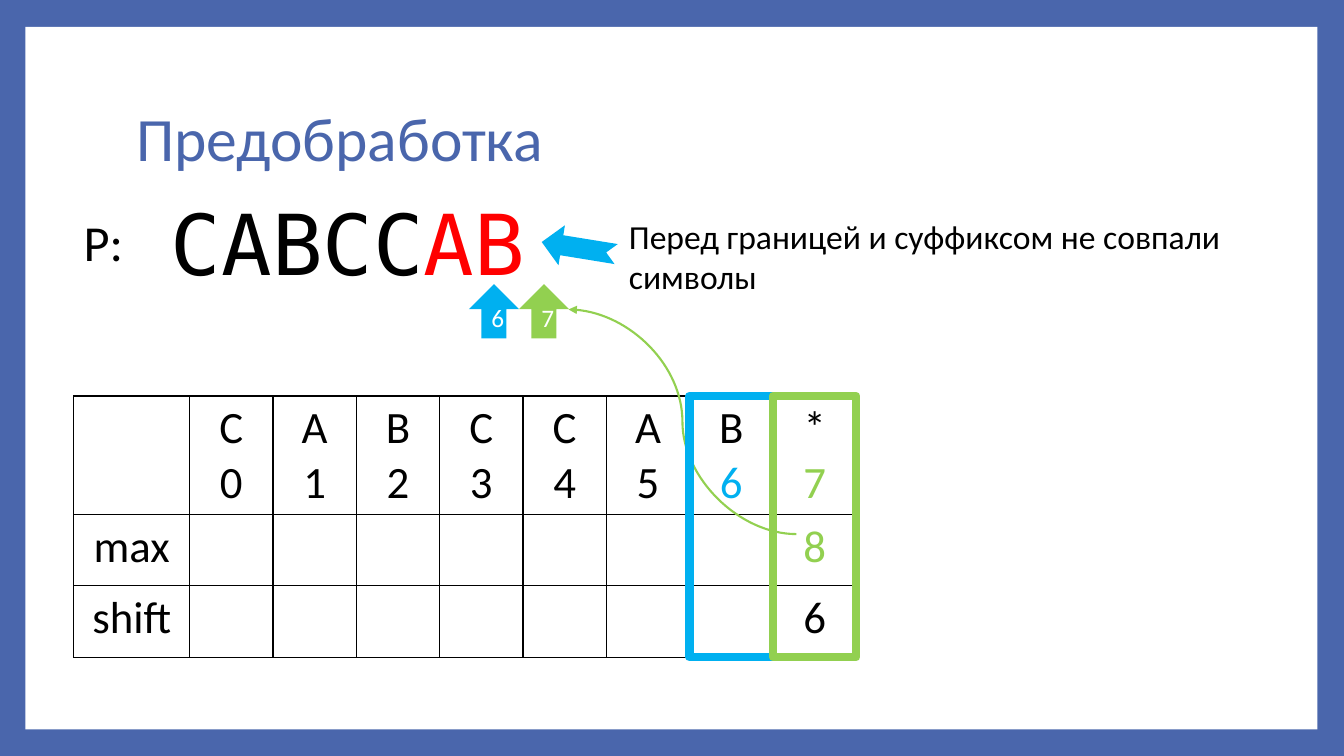
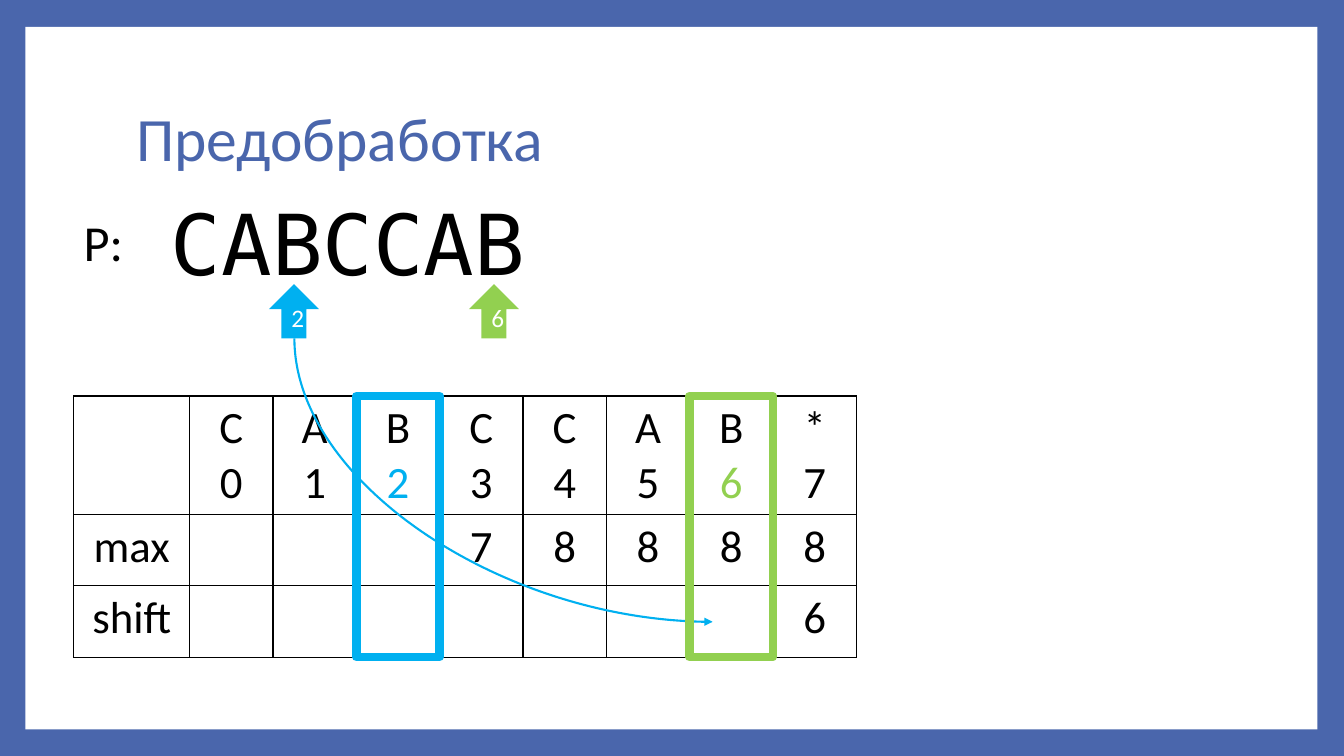
from dataclasses import dataclass

import pptx
import pptx.dml.color
import pptx.enum.shapes
import pptx.enum.text
import pptx.oxml
import pptx.oxml.ns
import pptx.util
from pptx.util import Cm

COLOURS = {
    "frame": "4A66AC",
    "paper": "FFFFFF",
    "ink": "000000",
    "mismatch": "FF0000",
    "blue": "00B0F0",
    "green": "92D050",
}
BODY_FONT = "Calibri"
CODE_FONT = "DejaVu Sans Mono"
SHAPES = pptx.enum.shapes.MSO_SHAPE
CENTER = pptx.enum.text.PP_ALIGN.CENTER
MIDDLE = pptx.enum.text.MSO_ANCHOR.MIDDLE

PATTERN = "CABCCAB"
TABLE_LEFT, TABLE_TOP = 1.86, 9.98
LABEL_WIDTH, COLUMN_WIDTH = 2.92, 2.1
ROW_HEIGHTS = (2.98, 1.8, 1.8)
POINTER_LEFT, POINTER_TOP, LETTER_PITCH = 4.26, 7.16, 1.26
POINTER_WIDTH, POINTER_HEIGHT = 1.26, 1.37


@dataclass(frozen=True)
class Box:
    left: float
    top: float
    width: float
    height: float

    def lengths(self) -> tuple:
        return Cm(self.left), Cm(self.top), Cm(self.width), Cm(self.height)


@dataclass(frozen=True)
class Run:
    text: str
    colour: str = "ink"


@dataclass(frozen=True)
class Marker:
    index: int
    colour: str


@dataclass(frozen=True)
class Curve:
    start: tuple[float, float]
    end: tuple[float, float]
    colour: str
    single_bend: bool = False


@dataclass(frozen=True)
class Step:
    pattern: tuple[Run, ...]
    markers: tuple[Marker, ...]
    maxima: dict[int, Run]
    shifts: dict[int, Run]
    curve: Curve
    note: str = ""


STEPS = (
    Step(
        pattern=(Run(PATTERN[:5]), Run(PATTERN[5:], "mismatch")),
        markers=(Marker(6, "blue"), Marker(7, "green")),
        maxima={7: Run("8", "green")},
        shifts={7: Run("6")},
        curve=Curve((20.07, 13.46), (14.33, 7.8), "green"),
        note="Перед границей и суффиксом не совпали символы",
    ),
    Step(
        pattern=(Run(PATTERN),),
        markers=(Marker(2, "blue"), Marker(6, "green")),
        maxima={3: Run("7"), **{index: Run("8") for index in range(4, 8)}},
        shifts={7: Run("6")},
        curve=Curve((7.42, 8.53), (17.96, 15.67), "blue", True),
    ),
)


def rgb(colour: str) -> pptx.dml.color.RGBColor:
    return pptx.dml.color.RGBColor.from_string(COLOURS[colour])


def write(paragraph, runs: tuple[Run, ...], size: int, font: str = BODY_FONT, **layout) -> None:
    for name, value in layout.items():
        setattr(paragraph, name, value)
    for content in runs:
        run = paragraph.add_run()
        run.text = content.text
        for name, value in {"name": font, "size": pptx.util.Pt(size), "bold": False}.items():
            setattr(run.font, name, value)
        run.font.color.rgb = rgb(content.colour)


def add_text(slide, box: Box, runs: tuple[Run, ...], size: int, font: str = BODY_FONT,
             anchor=pptx.enum.text.MSO_ANCHOR.TOP, **layout) -> None:
    frame = slide.shapes.add_textbox(*box.lengths()).text_frame
    for name, value in {"word_wrap": True, "vertical_anchor": anchor}.items():
        setattr(frame, name, value)
    write(frame.paragraphs[0], runs, size, font, **layout)


def add_solid(slide, preset, box: Box, colour: str):
    solid = slide.shapes.add_shape(preset, *box.lengths())
    solid.shadow.inherit = False
    solid.fill.solid()
    solid.fill.fore_color.rgb = rgb(colour)
    solid.line.fill.background()
    return solid


def add_pointer(slide, marker: Marker) -> None:
    box = Box(POINTER_LEFT + LETTER_PITCH * marker.index, POINTER_TOP, POINTER_WIDTH, POINTER_HEIGHT)
    frame = add_solid(slide, SHAPES.UP_ARROW, box, marker.colour).text_frame
    frame.vertical_anchor = MIDDLE
    write(frame.paragraphs[0], (Run(str(marker.index), "paper"),), 18, alignment=CENTER)


def add_column_frame(slide, marker: Marker) -> None:
    left = TABLE_LEFT + LABEL_WIDTH + COLUMN_WIDTH * marker.index
    outline = slide.shapes.add_shape(
        SHAPES.RECTANGLE, *Box(left, TABLE_TOP, COLUMN_WIDTH, sum(ROW_HEIGHTS)).lengths())
    outline.shadow.inherit = False
    outline.fill.background()
    outline.line.color.rgb = rgb(marker.colour)
    outline.line.width = pptx.util.Pt(6)


def add_curve(slide, curve: Curve) -> None:
    (x1, y1), (x2, y2) = curve.start, curve.end
    if curve.single_bend:
        middle_x, middle_y = (x1 + x2) / 2, (y1 + y2) / 2
        half_x, half_y = (x2 - x1) / 2, (y2 - y1) / 2
        x1, y1 = middle_x + half_y, middle_y - half_x
        x2, y2 = middle_x - half_y, middle_y + half_x
    link = slide.shapes.add_connector(
        pptx.enum.shapes.MSO_CONNECTOR.CURVE, Cm(x1), Cm(y1), Cm(x2), Cm(y2))
    link.line.color.rgb = rgb(curve.colour)
    link.line.width = pptx.util.Pt(1.5)
    properties = link.element.spPr
    if curve.single_bend:
        properties.find(pptx.oxml.ns.qn("a:xfrm")).set("rot", str(270 * 60000))
        properties.find(pptx.oxml.ns.qn("a:prstGeom")).set("prst", "curvedConnector2")
    properties.find(pptx.oxml.ns.qn("a:ln")).append(
        pptx.oxml.parse_xml(f'<a:tailEnd {pptx.oxml.ns.nsdecls("a")} type="triangle"/>'))
    properties.append(pptx.oxml.parse_xml(f'<a:effectLst {pptx.oxml.ns.nsdecls("a")}/>'))


def set_borders(cell) -> None:
    properties = cell._tc.get_or_add_tcPr()
    for position, side in enumerate("LRTB"):
        properties.insert(position, pptx.oxml.parse_xml(
            f'<a:ln{side} {pptx.oxml.ns.nsdecls("a")} w="12700"><a:solidFill>'
            f'<a:srgbClr val="{COLOURS["ink"]}"/></a:solidFill></a:ln{side}>'))


def add_shift_table(slide, step: Step) -> None:
    letters = PATTERN + "*"
    marked = {marker.index: marker.colour for marker in step.markers}
    header = [()] + [(Run(letter), Run(str(index), marked.get(index, "ink")))
                     for index, letter in enumerate(letters)]
    rows = [header]
    for label, values in (("max", step.maxima), ("shift", step.shifts)):
        rows.append([(Run(label),)] + [(values[index],) if index in values else ()
                                       for index in range(len(letters))])
    widths = [LABEL_WIDTH] + [COLUMN_WIDTH] * len(letters)
    box = Box(TABLE_LEFT, TABLE_TOP, sum(widths), sum(ROW_HEIGHTS))
    grid = slide.shapes.add_table(len(rows), len(widths), *box.lengths()).table
    for name, value in {"first_row": False, "horz_banding": False}.items():
        setattr(grid, name, value)
    for column, width in zip(grid.columns, widths):
        column.width = Cm(width)
    for row, height, contents in zip(grid.rows, ROW_HEIGHTS, rows):
        row.height = Cm(height)
        for cell, lines in zip(row.cells, contents):
            cell.fill.background()
            set_borders(cell)
            for number, line in enumerate(lines):
                frame = cell.text_frame
                paragraph = frame.add_paragraph() if number else frame.paragraphs[0]
                write(paragraph, (line,), 32, alignment=CENTER)


def add_step(deck, step: Step) -> None:
    slide = deck.slides.add_slide(deck.slide_layouts[6])
    add_solid(slide, SHAPES.RECTANGLE, Box(0.64, 0.68, 32.56, 17.7), "paper")
    add_text(slide, Box(3.18, 1.7, 27.43, 3.76), (Run("Предобработка", "frame"),), 44,
             anchor=MIDDLE, line_spacing=0.9)
    add_text(slide, Box(4.06, 4.7, 14.25, 2.82), step.pattern, 60, CODE_FONT)
    add_text(slide, Box(1.86, 5.2, 1.7, 1.8), (Run("P:"),), 36)
    for marker in step.markers:
        add_pointer(slide, marker)
    add_shift_table(slide, step)
    if step.note:
        add_text(slide, Box(15.6, 5.31, 15.47, 2.31), (Run(step.note),), 24)
        hint = add_solid(slide, SHAPES.NOTCHED_RIGHT_ARROW, Box(13.64, 5.74, 1.9, 1.02), "blue")
        hint.rotation = 189.2
    add_curve(slide, step.curve)
    for marker in step.markers:
        add_column_frame(slide, marker)


def main() -> None:
    deck = pptx.Presentation()
    deck.slide_width, deck.slide_height = Cm(33.87), Cm(19.05)
    backdrop = deck.slide_master.background.fill
    backdrop.solid()
    backdrop.fore_color.rgb = rgb("frame")
    for step in STEPS:
        add_step(deck, step)
    deck.save("out.pptx")


if __name__ == "__main__":
    main()
